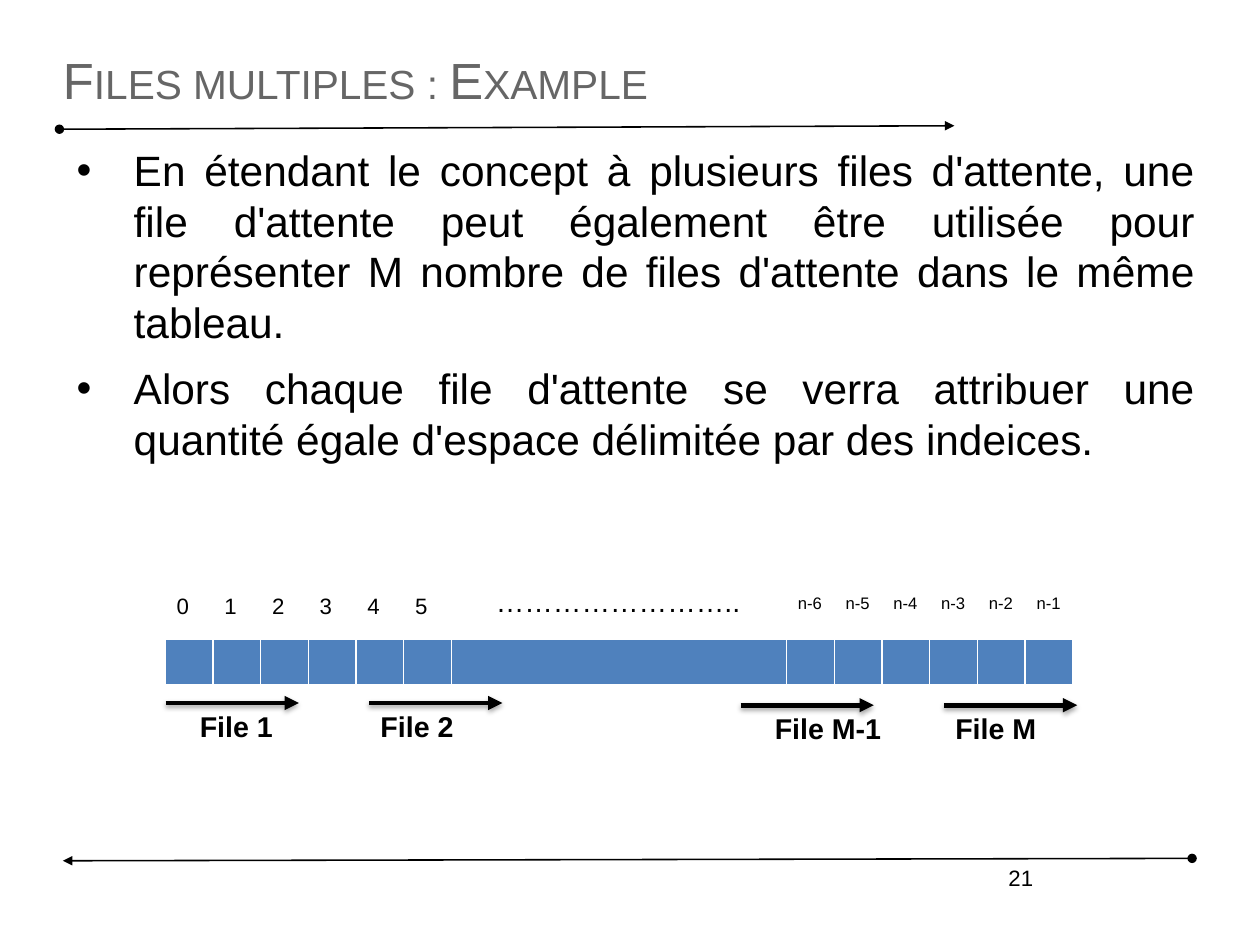
import pptx
import pptx.util
import pptx.dml.color
import pptx.enum.shapes
import pptx.enum.text
import pptx.oxml
import pptx.oxml.ns

Pt = pptx.util.Pt
Align = pptx.enum.text.PP_ALIGN
Anchor = pptx.enum.text.MSO_ANCHOR
AutoSize = pptx.enum.text.MSO_AUTO_SIZE

COLOURS = {"black": "000000", "title": "666666", "cell": "4F81BD", "white": "FFFFFF"}
FONT = "Arial"
SLIDE_SIZE = (793.75, 595.25)
MARGIN = 39.6
BODY_WIDTH = 714.24

TITLE = "Files multiples : Example"
BULLETS = [
    "En étendant le concept à plusieurs files d'attente, une file d'attente peut également "
    "être utilisée pour représenter M nombre de files d'attente dans le même tableau.",
    "Alors chaque file d'attente se verra attribuer une quantité égale d'espace délimitée "
    "par des indeices.",
]
PAGE_NUMBER = "21"
ELLIPSIS = "…………………….."
FIRST_INDICES = [str(index) for index in range(6)]
LAST_INDICES = [f"n-{index}" for index in range(6, 0, -1)]
QUEUES = [
    ("File 1", 104.4, 118.8, 442.8, 63.4),
    ("File 2", 232.6, 232.6, 442.8, 62),
    ("File M-1", 466.6, 481, 444.2, 84),
    ("File M", 594.7, 594.7, 444.2, 67.5),
]
RULES = [((37.44, 81.4), (601.2, 79.2)), ((751, 540.7), (39.6, 542.2))]
ARROW_LENGTH = 83.9
ARRAY_LEFT = 104
CELL_WIDTH = 30.1
GAP_WIDTH = 211
ROW_HEIGHT = 29.5


def colour(name):
    return pptx.dml.color.RGBColor.from_string(COLOURS[name])


def drawing_xml(body):
    tag, rest = body[1:].split(" ", 1)
    return pptx.oxml.parse_xml(f"<{tag} {pptx.oxml.ns.nsdecls('a')} {rest}")


def format_paragraph(paragraph, size, shade="black", bold=False):
    for run in paragraph.runs:
        run.font.name = FONT
        run.font.size = Pt(size)
        run.font.bold = bold
        run.font.color.rgb = colour(shade)


def add_text(slide, lines, left, top, width, height, size, shade="black",
             bold=False, wrap=True, grow=False, inset=True, align=Align.LEFT):
    box = slide.shapes.add_textbox(Pt(left), Pt(top), Pt(width), Pt(height))
    frame = box.text_frame
    frame.word_wrap = wrap
    if grow:
        frame.auto_size = AutoSize.SHAPE_TO_FIT_TEXT
    if not inset:
        frame.margin_left = frame.margin_right = 0
        frame.margin_top = frame.margin_bottom = 0
    frame.text = "\n".join(lines)
    for paragraph in frame.paragraphs:
        paragraph.alignment = align
        format_paragraph(paragraph, size, shade, bold)
    return frame


def add_arrow(slide, start, end, width, head=None, shadow=False):
    connector = slide.shapes.add_connector(
        pptx.enum.shapes.MSO_CONNECTOR.STRAIGHT, *map(Pt, start + end))
    connector.line.color.rgb = colour("black")
    connector.line.width = Pt(width)
    line = connector.line._get_or_add_ln()
    if head:
        line.append(drawing_xml(f'<a:headEnd type="{head}"/>'))
    line.append(drawing_xml('<a:tailEnd type="triangle"/>'))
    effects = drawing_xml("<a:effectLst />")
    if shadow:
        effects.append(drawing_xml(
            f'<a:outerShdw blurRad="{Pt(3.1)}" dist="{Pt(1.8)}" dir="5400000" rotWithShape="0">'
            f'<a:srgbClr val="{COLOURS["black"]}"><a:alpha val="35000"/></a:srgbClr>'
            '</a:outerShdw>'))
    connector._element.spPr.append(effects)


def add_row(slide, top):
    widths = [CELL_WIDTH] * 6 + [GAP_WIDTH] + [CELL_WIDTH] * 6
    table = slide.shapes.add_table(
        1, len(widths), Pt(ARRAY_LEFT), Pt(top), Pt(sum(widths)), Pt(ROW_HEIGHT)).table
    table.first_row = table.horz_banding = False
    for column, width in zip(table.columns, widths):
        column.width = Pt(width)
    table.rows[0].height = Pt(ROW_HEIGHT)
    return list(table.iter_cells())


def add_queue_array(slide):
    for cell in add_row(slide, 402.5):
        cell.fill.solid()
        cell.fill.fore_color.rgb = colour("cell")
        properties = cell._tc.get_or_add_tcPr()
        for position, (side, width) in enumerate(zip("LRTB", (1, 1, 1, 3))):
            properties.insert(position, drawing_xml(
                f'<a:ln{side} w="{Pt(width)}"><a:solidFill>'
                f'<a:srgbClr val="{COLOURS["white"]}"/></a:solidFill></a:ln{side}>'))


def add_index_labels(slide):
    labels = FIRST_INDICES + [""] + LAST_INDICES
    for cell, label in zip(add_row(slide, 370.8), labels):
        cell.fill.background()
        cell.text = label
        format_paragraph(cell.text_frame.paragraphs[0], 10.5 if label in LAST_INDICES else 14)


def add_bullets(slide):
    frame = add_text(slide, BULLETS, MARGIN, 90.72, BODY_WIDTH, 313.2, 26.7,
                     inset=False, align=Align.JUSTIFY)
    for paragraph in frame.paragraphs:
        paragraph.space_before = Pt(9.4)
        paragraph.line_spacing = Pt(32)
        properties = paragraph._p.get_or_add_pPr()
        properties.set("marL", str(Pt(44.64)))
        properties.set("indent", str(Pt(-36)))
        properties.append(drawing_xml(f'<a:buFont typeface="{FONT}"/>'))
        properties.append(drawing_xml('<a:buChar char="•"/>'))


def main():
    presentation = pptx.Presentation()
    presentation.slide_width, presentation.slide_height = map(Pt, SLIDE_SIZE)
    slide = presentation.slides.add_slide(presentation.slide_layouts[6])

    for start, end in RULES:
        add_arrow(slide, start, end, 1, head="oval")
    add_text(slide, [PAGE_NUMBER], 473, 540.7, 185, 41, 14, align=Align.RIGHT)

    title = add_text(slide, [TITLE], MARGIN, 23.8, BODY_WIDTH, 51.8, 32, "title", inset=False)
    title.vertical_anchor = Anchor.MIDDLE
    title.paragraphs[0].runs[0].font._element.set("cap", "small")

    add_bullets(slide)
    add_queue_array(slide)
    add_index_labels(slide)
    add_text(slide, [ELLIPSIS], 305.3, 364.3, 168.5, 28.8, 18, grow=True)

    for name, arrow_left, label_left, top, label_width in QUEUES:
        add_text(slide, [name], label_left, top, label_width, 28.8, 18,
                 bold=True, wrap=False, grow=True)
        add_arrow(slide, (arrow_left, top), (arrow_left + ARROW_LENGTH, top), 3, shadow=True)

    presentation.save("out.pptx")


if __name__ == "__main__":
    main()
